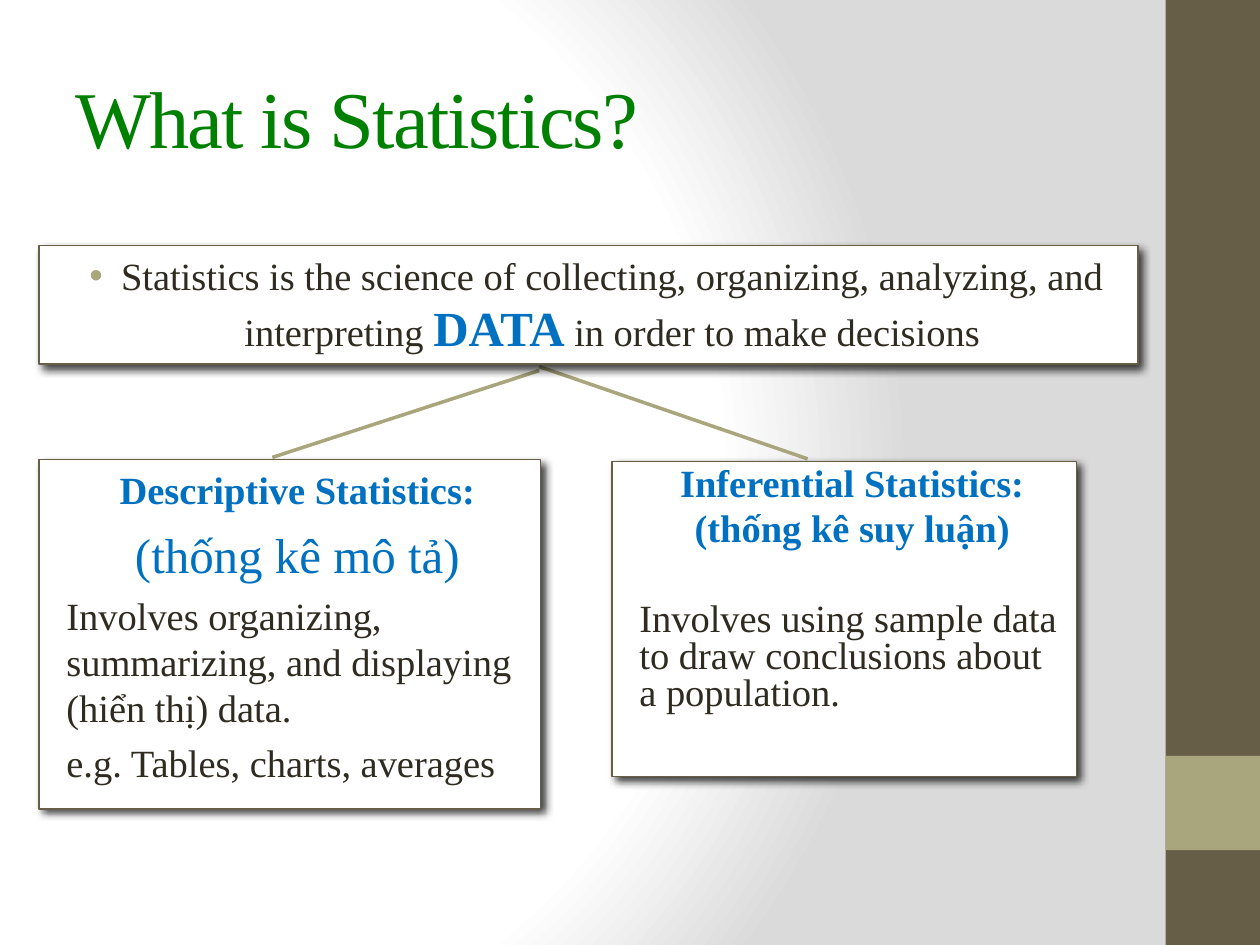
from lxml import etree
from pptx import Presentation
from pptx.dml.color import RGBColor
from pptx.enum.shapes import MSO_CONNECTOR, MSO_SHAPE
from pptx.enum.text import MSO_ANCHOR, PP_ALIGN
from pptx.oxml import parse_xml
from pptx.oxml.ns import nsdecls, qn
from pptx.util import Cm, Pt

RECT = MSO_SHAPE.RECTANGLE
LINE = MSO_CONNECTOR.STRAIGHT
TOP, MIDDLE = MSO_ANCHOR.TOP, MSO_ANCHOR.MIDDLE
LEFT, CENTER = PP_ALIGN.LEFT, PP_ALIGN.CENTER

WHITE = RGBColor(0xFF, 0xFF, 0xFF)
GREY = RGBColor(0xDA, 0xDA, 0xDA)
BROWN = RGBColor(0x67, 0x5E, 0x47)
OLIVE = RGBColor(0xA9, 0xA5, 0x7C)
GREEN = RGBColor(0x00, 0x80, 0x00)
BLUE = RGBColor(0x00, 0x70, 0xC0)
INK = RGBColor(0x2F, 0x2B, 0x20)
FONT = "Times New Roman"
WIDE, HIGH = Cm(25.4), Cm(19.05)


def set_back(slide):
    stops = [(0, WHITE), (75, WHITE), (100, GREY)]
    marks = "".join(
        f'<a:gs pos="{pos * 1000}"><a:srgbClr val="{color}"/></a:gs>'
        for pos, color in stops)
    grad = parse_xml(
        f'<a:gradFill {nsdecls("a")} rotWithShape="1"><a:gsLst>{marks}</a:gsLst>'
        '<a:path path="circle"><a:fillToRect l="20000" t="50000" '
        'r="100000" b="50000"/></a:path></a:gradFill>')
    fill = slide.background.fill
    fill.solid()
    old = slide.element.find(".//" + qn("p:bgPr")).find(qn("a:solidFill"))
    old.getparent().replace(old, grad)


def add_band(slide, top, height, color):
    left = Cm(23.5)
    band = slide.shapes.add_shape(RECT, left, top, WIDE - left, height)
    band.shadow.inherit = False
    band.fill.solid()
    band.fill.fore_color.rgb = color
    band.line.fill.background()


def add_link(slide, start, end):
    link = slide.shapes.add_connector(LINE, *start, *end)
    link.line.color.rgb = OLIVE
    link.line.width = Pt(2)
    etree.SubElement(link.element.spPr, qn("a:effectLst"))


def add_box(slide, left, top, width, height):
    box = slide.shapes.add_shape(RECT, left, top, width, height)
    box.shadow.inherit = False
    box.fill.solid()
    box.fill.fore_color.rgb = WHITE
    box.line.color.rgb = BROWN
    box.line.width = Pt(0.75)
    box.element.spPr.find(qn("a:effectLst")).append(parse_xml(
        f'<a:outerShdw {nsdecls("a")} blurRad="{Pt(5)}" dist="{Pt(3)}" '
        'dir="2700000" algn="tl" rotWithShape="0"><a:srgbClr val="000000">'
        '<a:alpha val="75000"/></a:srgbClr></a:outerShdw>'))
    frame = box.text_frame
    frame.word_wrap = True
    frame.vertical_anchor = TOP
    return frame


def style(run, color, size=22, bold=False):
    font = run.font
    font.name = FONT
    font.size = Pt(size)
    font.bold = bold
    font.color.rgb = color


def set_para(para, align, before, margin=0.3, indent=0):
    para.alignment = align
    para.space_before = Pt(before)
    props = para._p.get_or_add_pPr()
    props.set("marL", str(Cm(margin)))
    props.set("indent", str(Cm(indent)))


def add_bullet(para):
    props = para._p.get_or_add_pPr()
    color = etree.SubElement(props, qn("a:buClr"))
    etree.SubElement(color, qn("a:srgbClr"), val=str(OLIVE))
    etree.SubElement(props, qn("a:buFont"), typeface="Arial")
    etree.SubElement(props, qn("a:buChar"), char="•")


def fill_box(frame, rows, spacing=None):
    for i, (text, align, before, color, size, bold, hang) in enumerate(rows):
        para = frame.add_paragraph() if i else frame.paragraphs[0]
        para.text = text
        set_para(para, align, before, *hang)
        if spacing:
            para.line_spacing = spacing
        style(para.runs[0], color, size, bold)


def add_title(slide):
    box = slide.shapes.add_textbox(Cm(1.27), Cm(0.76), Cm(21.16), Cm(3.18))
    frame = box.text_frame
    frame.word_wrap = True
    frame.vertical_anchor = MIDDLE
    frame.text = "What is Statistics?"
    run = frame.paragraphs[0].runs[0]
    style(run, GREEN, 46)
    run._r.get_or_add_rPr().set("spc", "-100")


def add_topic(slide):
    frame = add_box(slide, Cm(0.79), Cm(4.95), Cm(22.15), Cm(2.39))
    para = frame.paragraphs[0]
    set_para(para, CENTER, 5, 0.95, -0.64)
    add_bullet(para)
    parts = [
        ("Statistics is the science of collecting, organizing, analyzing, "
         "and interpreting ", INK, 22, False),
        ("DATA", BLUE, 28, True),
        (" in order to make decisions", INK, 22, False),
    ]
    for text, *look in parts:
        run = para.add_run()
        run.text = text
        style(run, *look)


def main():
    deck = Presentation()
    deck.slide_width, deck.slide_height = WIDE, HIGH
    slide = deck.slides.add_slide(deck.slide_layouts[6])
    set_back(slide)
    add_band(slide, 0, HIGH, BROWN)
    add_band(slide, Cm(15.24), Cm(1.9), OLIVE)
    add_title(slide)
    add_link(slide, (Cm(10.87), Cm(7.47)), (Cm(5.49), Cm(9.22)))
    add_link(slide, (Cm(10.87), Cm(7.39)), (Cm(16.28), Cm(9.25)))
    add_topic(slide)

    flat, hang = (0.3, 0), (0.95, -0.64)
    frame = add_box(slide, Cm(0.79), Cm(9.27), Cm(10.11), Cm(7.04))
    fill_box(frame, [
        ("Descriptive Statistics:", CENTER, 10, BLUE, 22, True, flat),
        ("(thống kê mô tả)", CENTER, 7, BLUE, 28, False, flat),
        ("Involves organizing, summarizing, and displaying (hiển thị) data.",
         LEFT, 5, INK, 22, False, flat),
        ("e.g. Tables, charts, averages", LEFT, 5, INK, 22, False, flat),
    ])
    frame = add_box(slide, Cm(12.34), Cm(9.3), Cm(9.37), Cm(6.35))
    fill_box(frame, [
        ("Inferential Statistics:", CENTER, 5, BLUE, 22, True, hang),
        ("(thống kê suy luận)", CENTER, 5, BLUE, 22, True, hang),
        ("Involves using sample data to draw conclusions about a population.",
         LEFT, 30, INK, 22, False, flat),
    ], 0.8)
    deck.save("out.pptx")


if __name__ == "__main__":
    main()
